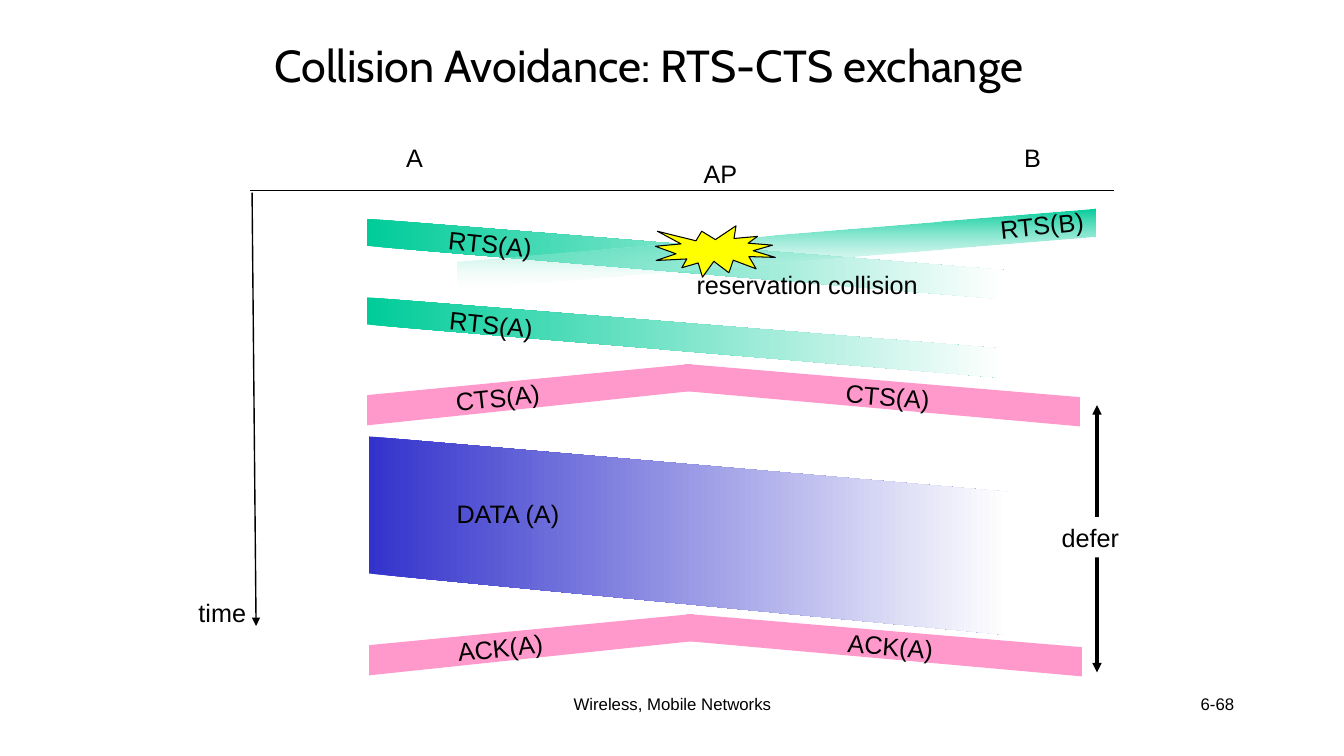
from lxml import etree
from pptx import Presentation
from pptx.dml.color import RGBColor
from pptx.enum.shapes import MSO_CONNECTOR, MSO_SHAPE
from pptx.enum.text import MSO_ANCHOR, MSO_AUTO_SIZE, PP_ALIGN
from pptx.oxml.ns import qn
from pptx.util import Inches, Pt

STRAIGHT = MSO_CONNECTOR.STRAIGHT
BURST, BOX = MSO_SHAPE.EXPLOSION1, MSO_SHAPE.RECTANGLE
MIDDLE = MSO_ANCHOR.MIDDLE
FIT_TEXT, NO_FIT = MSO_AUTO_SIZE.SHAPE_TO_FIT_TEXT, MSO_AUTO_SIZE.NONE
LEFT, CENTER, RIGHT = PP_ALIGN.LEFT, PP_ALIGN.CENTER, PP_ALIGN.RIGHT

# Content
TITLE = "Collision Avoidance: RTS-CTS exchange"
COLORS = {"ink": "000000", "paper": "FFFFFF", "request": "00CC99",
          "reply": "FF99CC", "data": "3333CC", "burst": "FFFF00"}

# Fading bands: corners, colour, gradient angle, opacity of the faded end
RTS_A = [(3.64, 2.17), (9.96, 2.68), (9.96, 2.97), (3.64, 2.44)]
RTS_B = [(10.86, 2.07), (4.54, 2.59), (4.54, 2.87), (10.86, 2.35)]
DATA = [(3.66, 4.33), (10, 4.88), (10, 6.3), (3.66, 5.69)]
RETRY_DROP = 0.78
RTS_RETRY = [(x, y + RETRY_DROP) for x, y in RTS_A]
FADING_BANDS = [
    (RTS_A, "request", 0, 100),
    (RTS_B, "request", 270, 6),
    (RTS_RETRY, "request", 0, 100),
    (DATA, "data", 0, 100),
]

# A reply spreads both ways from the access point; offsets from its left peak
REPLY_WINGS = [
    [(3.15, 0), (7.07, 0.33), (7.07, 0.62), (3.15, 0.27)],
    [(3.22, 0), (0, 0.31), (0, 0.61), (3.22, 0.27)],
]
REPLY_LABELS = [(0.78, 0.13, -6.3), (4.65, 0.12, 4.6)]
REPLIES = [("CTS(A)", 3.64, 3.61), ("ACK(A)", 3.66, 6.09)]

# Labels: text, left, top, width, rotation
LABELS = [
    ("AP", 6.88, 1.52, 0.54, 0),
    ("A", 3.93, 1.36, 0.38, 0),
    ("B", 10.06, 1.36, 0.37, 0),
    ("time", 1.87, 5.88, 0.68, 0),
    ("RTS(A)", 4.35, 2.22, 1.07, 5.9),
    ("RTS(B)", 9.82, 2.03, 1.04, -5.9),
    ("RTS(A)", 4.36, 2.24 + RETRY_DROP, 1.07, 5.9),
    ("DATA (A)", 4.43, 4.89, 1.97, 0),
]
FOOTERS = [("Wireless, Mobile Networks", 4.56, 4.22, CENTER),
           ("6-68", 9.56, 2.78, RIGHT)]


def color(name):
    return RGBColor.from_string(COLORS[name])


def add_run(frame, text, size=18, font="Arial", align=LEFT):
    paragraph = frame.paragraphs[0]
    paragraph.alignment = align
    run = paragraph.add_run()
    run.text = text
    run.font.size = Pt(size)
    run.font.name = font
    run.font.color.rgb = color("ink")


def add_label(text, left, top, width, rotation=0, wrap=False):
    label = slide.shapes.add_textbox(
        Inches(left), Inches(top), Inches(width), Inches(0.4))
    label.rotation = rotation
    label.text_frame.word_wrap = wrap
    label.text_frame.auto_size = FIT_TEXT
    add_run(label.text_frame, text)


def add_band(corners):
    points = [(Inches(x), Inches(y)) for x, y in corners]
    builder = slide.shapes.build_freeform(*points[0])
    builder.add_line_segments(points[1:], close=True)
    band = builder.convert_to_shape()
    band.shadow.inherit = False
    band.line.fill.background()
    return band


def add_line(start, end, width, *arrow_ends):
    line = slide.shapes.add_connector(
        STRAIGHT, *[Inches(n) for n in (*start, *end)])
    line.line.color.rgb = color("ink")
    line.line.width = Pt(width)
    outline = line.line._get_or_add_ln()
    for arrow_end in arrow_ends:
        etree.SubElement(outline, qn("a:" + arrow_end), type="triangle")
    etree.SubElement(line._element.spPr, qn("a:effectLst"))


prs = Presentation()
prs.slide_width, prs.slide_height = Inches(13.33), Inches(7.5)
slide = prs.slides.add_slide(prs.slide_layouts[5])

# Title and footers
title = slide.shapes.title
title.left, title.top = Inches(2.19), Inches(0.13)
title.width, title.height = Inches(8.5), Inches(1.03)
title.text_frame.vertical_anchor = MIDDLE
title.text_frame.auto_size = NO_FIT
add_run(title.text_frame, TITLE, 32, "Cabin", CENTER)
for text, left, width, align in FOOTERS:
    footer = slide.shapes.add_textbox(
        Inches(left), Inches(6.83), Inches(width), Inches(0.5))
    footer.text_frame.word_wrap = True
    add_run(footer.text_frame, text, 12, align=align)

# Time axis and station line
add_line((2.5, 1.91), (2.54, 6.21), 1, "tailEnd")
add_line((2.48, 1.89), (11.05, 1.89), 0.75)

# Requests and data, fading with distance
for corners, name, angle, opacity in FADING_BANDS:
    fill = add_band(corners).fill
    fill.gradient()
    fill.gradient_angle = angle
    near, far = fill.gradient_stops
    near.color.rgb, far.color.rgb = color(name), color("paper")
    near.position, far.position = 0, 1
    if opacity < 100:
        far_color = fill._xPr.findall(".//" + qn("a:srgbClr"))[-1]
        etree.SubElement(far_color, qn("a:alpha"), val=str(opacity * 1000))

# Replies from the access point
for text, left, top in REPLIES:
    for wing in REPLY_WINGS:
        band = add_band([(left + x, top + y) for x, y in wing])
        band.fill.solid()
        band.fill.fore_color.rgb = color("reply")
    for x, y, rotation in REPLY_LABELS:
        add_label(text, left + x, top + y, 1.06, rotation)

for label in LABELS:
    add_label(*label)

# Collision
burst = slide.shapes.add_shape(
    BURST, Inches(6.5), Inches(2.24), Inches(1.19), Inches(0.51))
burst.shadow.inherit = False
burst.fill.solid()
burst.fill.fore_color.rgb = color("burst")
burst.line.color.rgb = color("ink")
burst.line.width = Pt(0.75)
add_label("reservation collision", 6.81, 2.62, 3.09, wrap=True)

# Deferral span of station B
add_line((10.88, 4.02), (10.88, 6.67), 2.25, "headEnd", "tailEnd")
defer = slide.shapes.add_shape(
    BOX, Inches(10.43), Inches(5.13), Inches(0.78), Inches(0.4))
defer.shadow.inherit = False
defer.fill.solid()
defer.fill.fore_color.rgb = color("paper")
defer.line.fill.background()
defer.text_frame.word_wrap = False
defer.text_frame.auto_size = FIT_TEXT
add_run(defer.text_frame, "defer")

prs.save("out.pptx")
